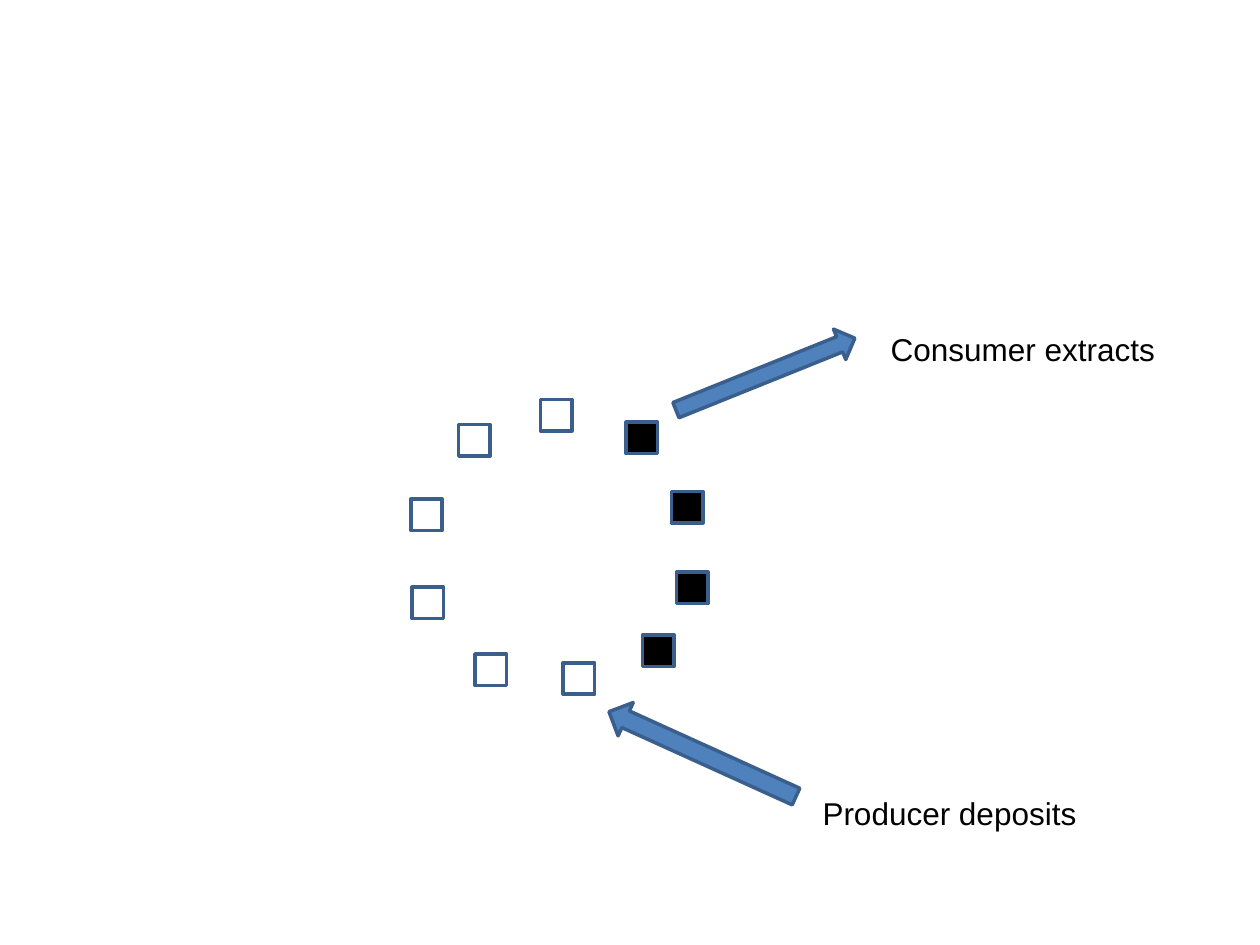
from pptx import Presentation
from pptx import util as u
from pptx.dml.color import RGBColor
from pptx.enum import shapes, text

OUTLINE, ARROW, EMPTY, FULL = "3A5F8C", "4F81BD", "FFFFFF", "000000"
SLOT_SIZE = 0.25
# Buffer slots clockwise from the upper left: left, top
EMPTY_SLOTS = [(4.47, 5.26), (3.77, 5.19), (3.27, 4.66),
               (3.26, 3.96), (3.64, 3.37), (4.29, 3.17)]
FULL_SLOTS = [(4.97, 3.35), (5.33, 3.9), (5.37, 4.54), (5.1, 5.04)]


def color(hex_code):
    """Turn a hex string into a colour."""
    return RGBColor.from_string(hex_code)


def add_block(slide, preset, box, fill, rotation=0):
    """Draw an outlined preset shape in box (left, top, width, height)."""
    block = slide.shapes.add_shape(preset, *map(u.Inches, box))
    block.shadow.inherit = False
    block.rotation = rotation
    block.fill.solid()
    block.fill.fore_color.rgb = color(fill)
    block.line.color.rgb = color(OUTLINE)
    block.line.width = u.Pt(2)


def add_slots(slide, positions, fill):
    """Draw buffer slots of one state."""
    for left, top in positions:
        add_block(slide, shapes.MSO_SHAPE.RECTANGLE,
                  (left, top, SLOT_SIZE, SLOT_SIZE), fill)


def add_arrow(slide, box, rotation):
    """Draw a rotated block arrow."""
    add_block(slide, shapes.MSO_SHAPE.RIGHT_ARROW, box, ARROW, rotation)


def add_label(slide, box, wording):
    """Write a one-line label."""
    label = slide.shapes.add_textbox(*map(u.Inches, box))
    frame = label.text_frame
    frame.word_wrap = False
    frame.auto_size = text.MSO_AUTO_SIZE.SHAPE_TO_FIT_TEXT
    run = frame.paragraphs[0].add_run()
    run.text = wording
    run.font.name = "Arial"
    run.font.size = u.Pt(18)
    run.font.color.rgb = color("000000")


def main():
    """Build the circular buffer slide."""
    deck = Presentation()
    deck.slide_width, deck.slide_height = u.Inches(10), u.Inches(7.5)
    slide = deck.slides.add_slide(deck.slide_layouts.get_by_name("Blank"))

    add_slots(slide, EMPTY_SLOTS, EMPTY)
    add_slots(slide, FULL_SLOTS, FULL)
    add_arrow(slide, (5.31, 2.84, 1.53, 0.26), 338.1)
    add_arrow(slide, (4.76, 5.84, 1.63, 0.29), 204.4)
    add_label(slide, (6.97, 2.57, 2.32, 0.4), "Consumer extracts")
    add_label(slide, (6.43, 6.25, 2.24, 0.4), "Producer deposits")

    deck.save("out.pptx")


main()
